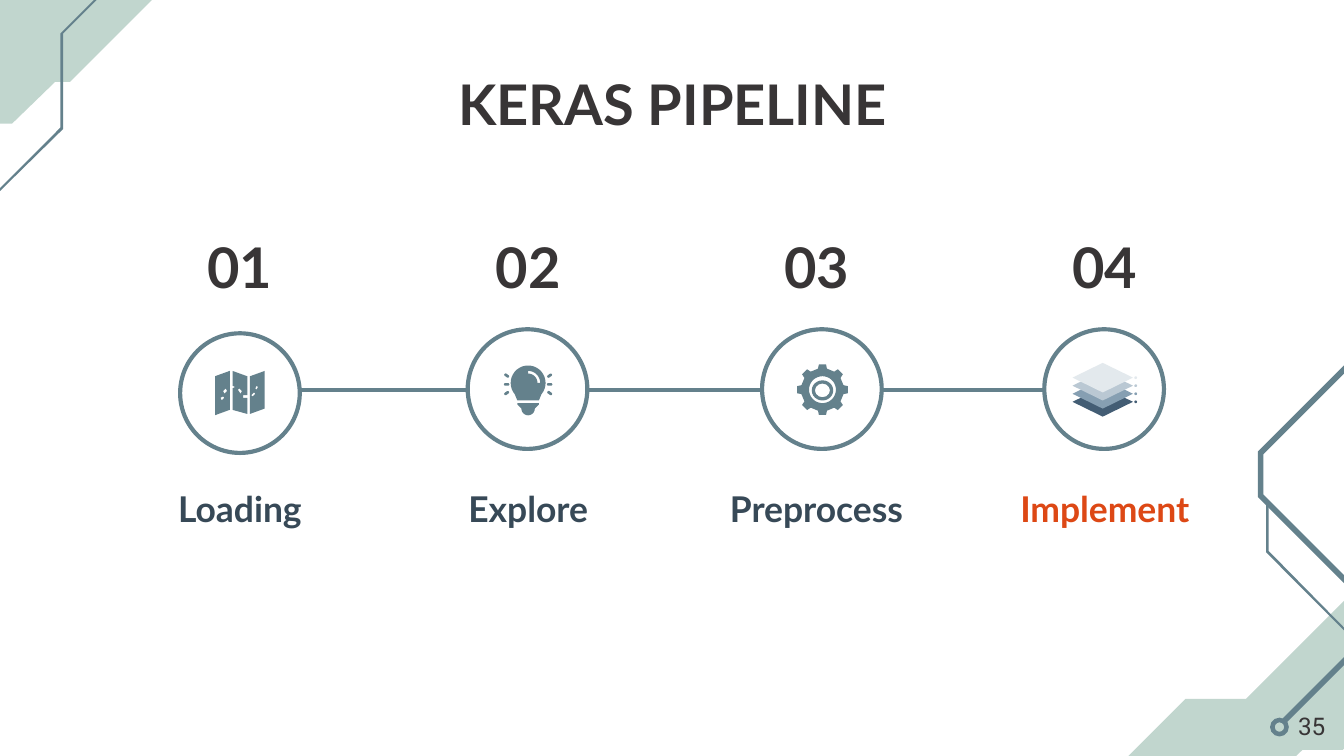
from dataclasses import dataclass
from math import cos, radians, sin

from lxml import etree
from pptx import Presentation
from pptx.dml.color import RGBColor
from pptx.enum import shapes, text
from pptx.oxml.ns import qn
from pptx.util import Inches, Pt

Point = tuple[float, float]
Outline = list[Point]

COLORS = {
    "ink": "383536", "label": "374957", "accent": "DD4815",
    "steel": "64818C", "sage": "C1D6CE",
}
LAYER_COLORS = ["435D74", "869FB2", "BAC8D3", "E3E9ED"]  # bottom to top
CIRCLE = 0.89
LINE_Y = 2.9


@dataclass
class Step:
    number: str
    label: str
    circle_left: float
    circle_top: float = 2.45
    label_color: str = "label"


STEPS = [
    Step("01", "Loading", 1.34, circle_top=2.48),
    Step("02", "Explore", 3.48),
    Step("03", "Preprocess", 5.67),
    Step("04", "Implement", 7.77, label_color="accent"),
]

CORNER_BANDS = [
    [(1.19, -0.72), (0.65, -0.18), (0.16, -0.18), (-0.94, 0.92), (0.09, 0.92),
     (0.41, 0.61), (0.52, 0.61), (1.85, -0.72)],
    [(10.27, 4.2), (9.27, 5.2), (8.82, 5.2), (8.25, 5.77), (8.25, 6.03), (7.89, 6.39),
     (8.87, 6.39), (9.69, 5.58), (9.99, 5.58), (10.58, 4.99), (10.58, 4.83), (11.21, 4.2)],
]
CIRCUIT_TRACES = [
    [(1.21, -0.51), (0.45, 0.25), (0.45, 0.95), (-0.12, 1.52), (-0.11, 1.53),
     (0.47, 0.96), (0.47, 0.25), (1.22, -0.5)],
    [(12.18, 1.32), (11.21, 2.29), (10.43, 2.29), (9.36, 3.36), (9.36, 3.7), (10.01, 4.35),
     (10.01, 4.88), (9.53, 5.36), (9.56, 5.39), (10.05, 4.9), (10.05, 4.33), (9.4, 3.68),
     (9.4, 3.38), (10.45, 2.33), (11.22, 2.33), (12.21, 1.34)],
    [(9.42, 3.74), (9.42, 4.11), (10.02, 4.71), (10.03, 4.7), (9.44, 4.1), (9.44, 3.74)],
]
# Each map panel: its outline, then the route dashes cut out of it
MAP_PANELS = [
    [[(1.71, 2.76), (1.6, 2.8), (1.6, 3.09), (1.71, 3.05)],
     [(1.68, 2.89), (1.69, 2.91), (1.67, 2.93), (1.66, 2.91)],
     [(1.66, 2.95), (1.67, 2.96), (1.65, 2.98), (1.64, 2.96)]],
    [[(1.73, 2.76), (1.73, 2.87), (1.75, 2.88), (1.73, 2.89), (1.73, 3.05),
      (1.84, 3.08), (1.84, 2.96), (1.81, 2.96), (1.81, 2.94), (1.84, 2.94), (1.84, 2.8)],
     [(1.78, 2.89), (1.8, 2.91), (1.79, 2.93), (1.77, 2.9)]],
    [[(1.97, 2.76), (1.86, 2.8), (1.86, 3.08), (1.97, 3.04)],
     [(1.91, 2.87), (1.92, 2.88), (1.91, 2.9), (1.9, 2.89)],
     [(1.89, 2.92), (1.9, 2.93), (1.88, 2.95), (1.87, 2.94)]],
]


def rgb(color: str) -> RGBColor:
    return RGBColor.from_string(COLORS.get(color, color))


def paint(shape, color: str) -> None:
    shape.shadow.inherit = False
    shape.fill.solid()
    shape.fill.fore_color.rgb = rgb(color)
    shape.line.fill.background()


def add_outline(slide, color: str, *contours: Outline) -> None:
    """Fill the first contour; the others are holes in it."""
    first, *holes = [[(Inches(x), Inches(y)) for x, y in c] for c in contours]
    builder = slide.shapes.build_freeform(*first[0], scale=1.0)
    builder.add_line_segments(first[1:], close=True)
    for hole in holes:
        builder.move_to(*hole[0])
        builder.add_line_segments(hole[1:], close=True)
    paint(builder.convert_to_shape(), color)


def add_preset(slide, kind, left: float, top: float, width: float, height: float, color: str):
    shape = slide.shapes.add_shape(kind, Inches(left), Inches(top), Inches(width), Inches(height))
    paint(shape, color)
    return shape


def arc(cx: float, cy: float, radius: float, start: int, end: int, step: int = 10) -> Outline:
    """Points on an arc, in clockwise degrees from the right."""
    turn = step if end > start else -step
    return [(cx + radius * cos(radians(a)), cy + radius * sin(radians(a)))
            for a in range(start, end + turn, turn)]


def write(box, words: str, size: float, color: str, font: str = "Lato", bold: bool = True,
          align=text.PP_ALIGN.CENTER, anchor=text.MSO_ANCHOR.MIDDLE) -> None:
    frame = box.text_frame
    frame.word_wrap = True
    frame.auto_size = text.MSO_AUTO_SIZE.NONE
    frame.vertical_anchor = anchor
    frame.margin_left = frame.margin_right = Inches(0.1)
    frame.margin_top = frame.margin_bottom = Inches(0.1)
    paragraph = frame.paragraphs[0]
    paragraph.alignment = align
    run = paragraph.add_run()
    run.text = words
    run.font.name, run.font.size, run.font.bold = font, Pt(size), bold
    run.font.color.rgb = rgb(color)


def add_text_box(slide, left: float, top: float, width: float, height: float):
    return slide.shapes.add_textbox(Inches(left), Inches(top), Inches(width), Inches(height))


def add_step(slide, index: int, step: Step) -> None:
    column = 0.79 + index * 2.145
    write(add_text_box(slide, column + 0.15, 1.69, 1.69, 0.58), step.number, 30, "ink")
    write(add_text_box(slide, column, 3.58, 1.99, 0.41), step.label, 19, step.label_color)
    circle = add_preset(slide, shapes.MSO_SHAPE.OVAL, step.circle_left, step.circle_top,
                        CIRCLE, CIRCLE, "steel")
    circle.fill.background()
    circle.line.color.rgb = rgb("steel")
    circle.line.width = Pt(2.25)


def add_link(slide, start: Step, end: Step) -> None:
    link = slide.shapes.add_connector(
        shapes.MSO_CONNECTOR.STRAIGHT, Inches(start.circle_left + CIRCLE), Inches(LINE_Y),
        Inches(end.circle_left), Inches(LINE_Y))
    link.line.color.rgb = rgb("steel")
    link.line.width = Pt(2.25)
    etree.SubElement(link._element.spPr, qn("a:effectLst"))


def add_bulb(slide) -> None:
    cx, cy = 3.93, 2.85
    globe = arc(cx, cy, 0.13, 140, 400) + [(4.01, 2.98), (3.85, 2.98)]
    shine = arc(cx, cy, 0.09, -90, 0) + arc(cx, cy, 0.07, 0, -90)
    add_outline(slide, "steel", globe, shine)
    add_outline(slide, "steel", [(4.01, 3), (4.01, 3.01), (3.98, 3.04),
                                 *arc(cx, 3.04, 0.05, 0, 180), (3.85, 3.01), (3.85, 3)])
    for side in (-1, 1):
        for row in (-1, 0, 1):
            ray = add_preset(slide, shapes.MSO_SHAPE.ROUNDED_RECTANGLE, cx + side * 0.16 - 0.02,
                             2.85 + row * 0.065, 0.04, 0.02, "steel")
            ray.adjustments[0] = 0.5
            ray.rotation = side * row * 35


def add_ring(slide, left: float, top: float, width: float, height: float, band: float) -> None:
    ring = add_preset(slide, shapes.MSO_SHAPE.DONUT, left, top, width, height, "steel")
    ring.adjustments[0] = band


def add_gear(slide) -> None:
    cx, cy = 6.12, 2.9
    teeth = [point for angle in range(0, 360, 45)
             for radius, offset in ((0.16, -12), (0.19, -8), (0.19, 8), (0.16, 12))
             for point in arc(cx, cy, radius, angle + offset, angle + offset)[:1]]
    add_outline(slide, "steel", teeth, arc(cx, cy, 0.1, 0, 350))
    add_ring(slide, 6.04, 2.83, 0.16, 0.15, 0.16)


def add_layers(slide) -> None:
    for level, color in enumerate(LAYER_COLORS):
        rise = level * 0.06
        add_preset(slide, shapes.MSO_SHAPE.DIAMOND, 7.98, 2.88 - rise, 0.45, 0.22, color)
        add_preset(slide, shapes.MSO_SHAPE.OVAL, 8.44, 2.98 - rise, 0.02, 0.02, color)


def main() -> None:
    deck = Presentation()
    deck.slide_width = Inches(10)
    deck.slide_height = Inches(10 * 9 / 16)
    slide = deck.slides.add_slide(deck.slide_layouts[5])

    for band in CORNER_BANDS:
        add_outline(slide, "sage", band)
    for trace in CIRCUIT_TRACES:
        add_outline(slide, "steel", trace)
    add_ring(slide, 9.45, 5.34, 0.14, 0.14, 0.25)

    title = slide.shapes.title
    title.left, title.top = Inches(0.79), Inches(0.42)
    title.width, title.height = Inches(8.43), Inches(0.65)
    write(title, "KERAS PIPELINE", 30, "ink", anchor=text.MSO_ANCHOR.TOP)

    for index, step in enumerate(STEPS):
        add_step(slide, index, step)
    for start, end in zip(STEPS, STEPS[1:]):
        add_link(slide, start, end)
    for panel in MAP_PANELS:
        add_outline(slide, "steel", *panel)
    add_bulb(slide)
    add_gear(slide)
    add_layers(slide)

    write(add_text_box(slide, 9.36, 5.19, 0.6, 0.43), "35", 13, "ink", font="Roboto", bold=False,
          align=text.PP_ALIGN.RIGHT, anchor=text.MSO_ANCHOR.TOP)
    deck.save("out.pptx")


if __name__ == "__main__":
    main()
